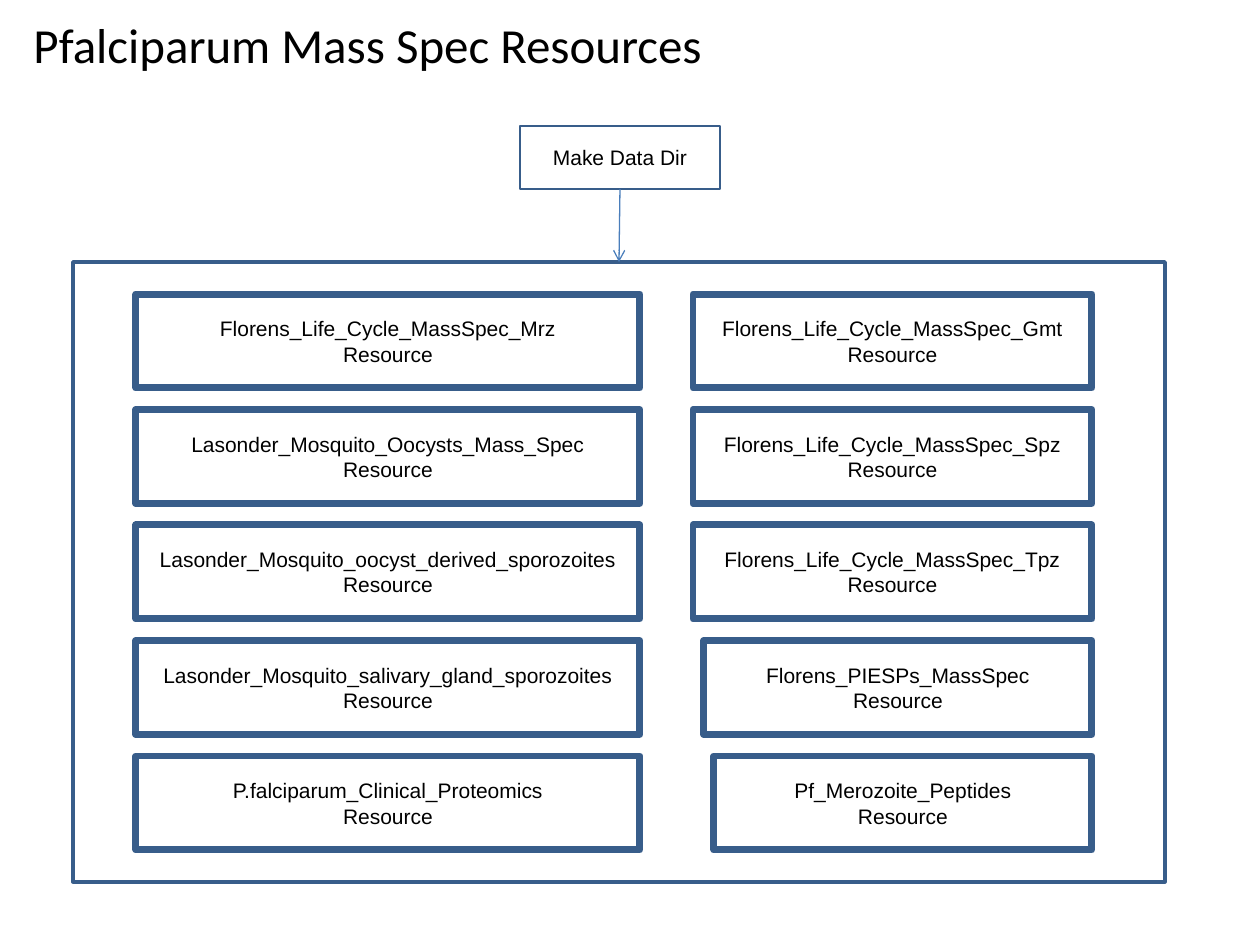
from lxml import etree
from pptx import Presentation
from pptx.dml.color import RGBColor
from pptx.enum.shapes import MSO_CONNECTOR as CONNECTOR, MSO_SHAPE as SHAPE
from pptx.enum.text import MSO_ANCHOR as ANCHOR, PP_ALIGN as ALIGN
from pptx.oxml.ns import qn
from pptx.util import Pt

EMU_PER_PX = 914400 / 126
BLACK = RGBColor(0x00, 0x00, 0x00)
NAVY = RGBColor(0x38, 0x5D, 0x8A)
BLUE = RGBColor(0x4A, 0x7E, 0xBB)

ROW_TOP, ROW_PITCH, BOX_HEIGHT = 294, 115.5, 94
LEFT_EDGE, LEFT_WIDTH = 136, 504
RIGHT_END = 1092

LEFT_RESOURCES = [
    "Florens_Life_Cycle_MassSpec_Mrz",
    "Lasonder_Mosquito_Oocysts_Mass_Spec",
    "Lasonder_Mosquito_oocyst_derived_sporozoites",
    "Lasonder_Mosquito_salivary_gland_sporozoites",
    "P.falciparum_Clinical_Proteomics",
]
# Name and left edge; all end at RIGHT_END
RIGHT_RESOURCES = [
    ("Florens_Life_Cycle_MassSpec_Gmt", 693),
    ("Florens_Life_Cycle_MassSpec_Spz", 693),
    ("Florens_Life_Cycle_MassSpec_Tpz", 693),
    ("Florens_PIESPs_MassSpec", 704),
    ("Pf_Merozoite_Peptides", 714),
]


def px(*lengths):
    return [round(length * EMU_PER_PX) for length in lengths]


def write(frame, lines, font, size, align):
    frame.word_wrap = True
    frame.vertical_anchor = ANCHOR.MIDDLE
    for i, line in enumerate(lines):
        paragraph = frame.add_paragraph() if i else frame.paragraphs[0]
        paragraph.alignment = align
        run = paragraph.add_run()
        run.text = line
        run.font.name = font
        run.font.size = Pt(size)
        run.font.color.rgb = BLACK


def add_title(slide, text, *bounds):
    title = slide.shapes.add_textbox(*px(*bounds))
    write(title.text_frame, [text], "Calibri", 28, ALIGN.LEFT)


def add_box(slide, lines, line_width, *bounds):
    box = slide.shapes.add_shape(SHAPE.RECTANGLE, *px(*bounds))
    box.shadow.inherit = False
    box.fill.background()
    box.line.color.rgb = NAVY
    box.line.width = Pt(line_width)
    write(box.text_frame, lines, "Arial", 12, ALIGN.CENTER)


def add_arrow(slide, *ends):
    arrow = slide.shapes.add_connector(CONNECTOR.STRAIGHT, *px(*ends))
    arrow.line.color.rgb = BLUE
    arrow.line.width = Pt(0.75)
    etree.SubElement(arrow.line._get_or_add_ln(), qn("a:tailEnd"), type="arrow")
    etree.SubElement(arrow._element.spPr, qn("a:effectLst"))


def main():
    deck = Presentation()
    deck.slide_width, deck.slide_height = px(1260, 945)
    slide = deck.slides.add_slide(deck.slide_layouts[6])

    add_title(slide, "Pfalciparum Mass Spec Resources", 21, 10, 703, 67)

    # Two columns of resources
    for row, (left_name, (right_name, right_edge)) in enumerate(
            zip(LEFT_RESOURCES, RIGHT_RESOURCES)):
        top = ROW_TOP + row * ROW_PITCH
        add_box(slide, [left_name, "Resource"], 4,
                LEFT_EDGE, top, LEFT_WIDTH, BOX_HEIGHT)
        add_box(slide, [right_name, "Resource"], 4,
                right_edge, top, RIGHT_END - right_edge, BOX_HEIGHT)

    # First step, leading to the frame around the resources
    add_box(slide, ["Make Data Dir"], 1, 520, 126, 200, 63)
    add_box(slide, [], 2, 73, 262, 1092, 620)
    add_arrow(slide, 620, 189, 619, 262)

    deck.save("out.pptx")


if __name__ == "__main__":
    main()
